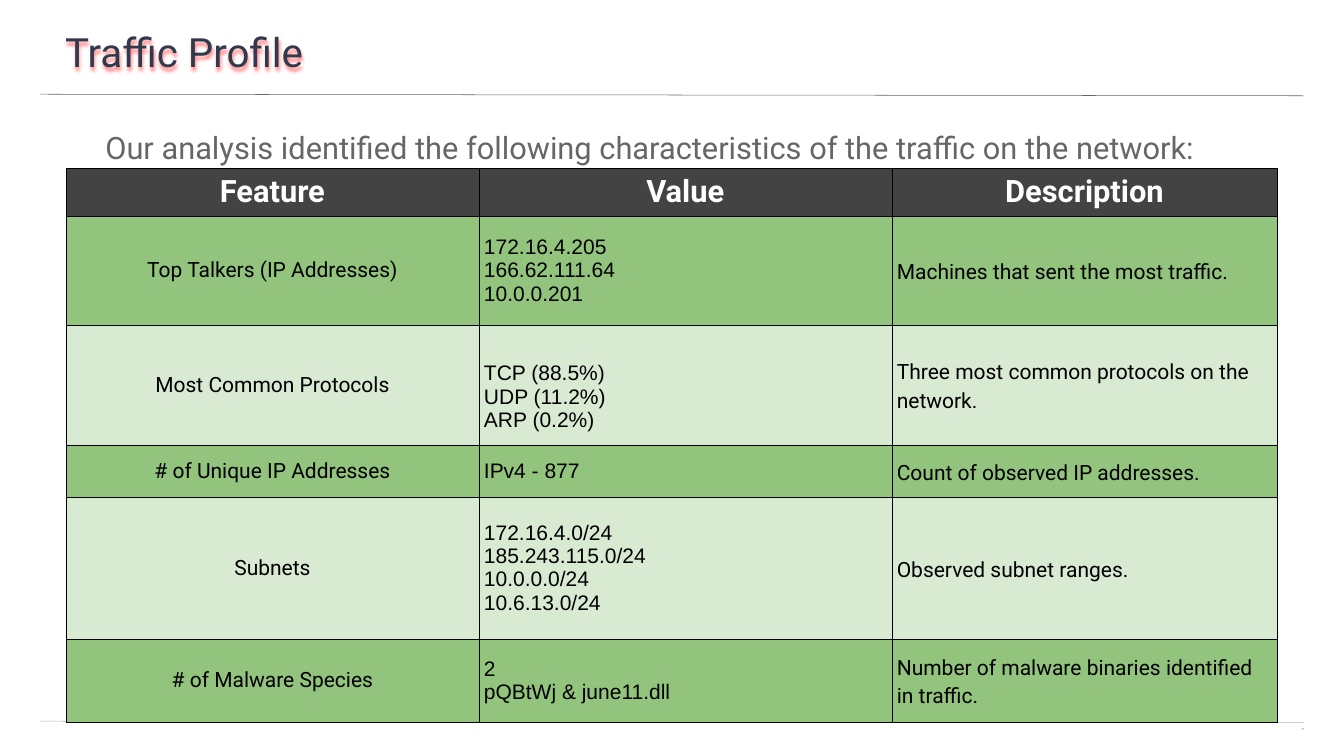
from lxml import etree
from pptx import Presentation
from pptx import util as u
from pptx.dml.color import RGBColor
from pptx.enum import shapes, text
from pptx.oxml import ns, parse_xml

BLACK = RGBColor(0x00, 0x00, 0x00)
WHITE = RGBColor(0xFF, 0xFF, 0xFF)
RED = RGBColor(0xFF, 0x00, 0x00)
NAVY = RGBColor(0x31, 0x39, 0x4D)
GRAY = RGBColor(0x66, 0x66, 0x66)
PALE_BLUE = RGBColor(0xA9, 0xB7, 0xC0)
CHARCOAL = RGBColor(0x43, 0x43, 0x43)
GREEN = RGBColor(0x93, 0xC4, 0x7D)
LIGHT_GREEN = RGBColor(0xD9, 0xEA, 0xD3)

TITLE = "Traffic Profile"
INTRO = "Our analysis identified the following characteristics of the traffic on the network:"
PAGE_NUMBER = "7"
HEADERS = ["Feature", "Value", "Description"]
FEATURES = [
    ("Top Talkers (IP Addresses)", ["172.16.4.205", "166.62.111.64", "10.0.0.201"],
     "Machines that sent the most traffic."),
    ("Most Common Protocols", ["TCP (88.5%)", "UDP (11.2%)", "ARP (0.2%)"],
     "Three most common protocols on the network."),
    ("# of Unique IP Addresses", ["IPv4 - 877"], "Count of observed IP addresses."),
    ("Subnets", ["172.16.4.0/24", "185.243.115.0/24", "10.0.0.0/24", "10.6.13.0/24"],
     "Observed subnet ranges."),
    ("# of Malware Species", ["2", "pQBtWj & june11.dll"],
     "Number of malware binaries identified in traffic."),
]
COLUMN_WIDTHS = [8.19, 8.19, 7.65]
ROW_HEIGHTS = [0.95, 2.16, 2.38, 1.03, 2.82, 1.65]
VALUE_TOP_MARGINS = {"Most Common Protocols": 0.58}
RULES = [(1.87, GRAY), (14.31, PALE_BLUE)]

LEFT, CENTER, RIGHT = text.PP_ALIGN.LEFT, text.PP_ALIGN.CENTER, text.PP_ALIGN.RIGHT


def write(frame, lines, size=30, font="Roboto", color=BLACK, bold=False,
          align=LEFT, spacing=None, after=0, margins=(0.1, 0.1, 0.1, 0.1)):
    frame.word_wrap = True
    (frame.margin_left, frame.margin_top,
     frame.margin_right, frame.margin_bottom) = map(u.Inches, margins)
    for index, line in enumerate(lines):
        para = frame.paragraphs[0] if index == 0 else frame.add_paragraph()
        para.alignment = align
        para.space_after = u.Pt(after)
        if spacing:
            para.line_spacing = spacing
        span = para.add_run()
        span.text = line
        span.font.size = u.Pt(size)
        span.font.name = font
        span.font.bold = bold
        span.font.color.rgb = color


def add_text(page, place, line, **style):
    box = page.shapes.add_textbox(*map(u.Inches, place))
    box.text_frame.auto_size = text.MSO_AUTO_SIZE.NONE
    box.text_frame.vertical_anchor = text.MSO_ANCHOR.TOP
    write(box.text_frame, [line], **style)
    return box


def add_rule(page, top, color):
    rule = page.shapes.add_connector(
        shapes.MSO_CONNECTOR.STRAIGHT, u.Inches(0.8), u.Inches(top),
        u.Inches(25.86), u.Inches(top + 0.03))
    rule.line.color.rgb = color
    rule.line.width = u.Pt(0.75)
    etree.SubElement(rule._element.spPr, ns.qn("a:effectLst"))


def add_title_shadow(title):
    title._element.spPr.append(parse_xml(
        f'<a:effectLst {ns.nsdecls("a")}>'
        f'<a:outerShdw blurRad="{u.Pt(4)}" dist="{u.Pt(4)}" dir="5400000"'
        ' algn="bl" rotWithShape="0">'
        f'<a:srgbClr val="{RED}"><a:alpha val="50000"/></a:srgbClr>'
        '</a:outerShdw></a:effectLst>'))


def add_borders(cell):
    properties = cell._tc.get_or_add_tcPr()
    for index, side in enumerate(("lnL", "lnR", "lnT", "lnB")):
        properties.insert(index, parse_xml(
            f'<a:{side} {ns.nsdecls("a")} w="{u.Pt(0.75)}"><a:solidFill>'
            f'<a:srgbClr val="{BLACK}"/></a:solidFill></a:{side}>'))


def fill_cell(cell, lines, fill, top=0.1, **style):
    write(cell.text_frame, lines, **style)
    cell.margin_left = cell.margin_right = cell.margin_bottom = u.Inches(0.1)
    cell.margin_top = u.Inches(top)
    cell.vertical_anchor = text.MSO_ANCHOR.MIDDLE
    cell.fill.solid()
    cell.fill.fore_color.rgb = fill
    add_borders(cell)


def add_feature_table(page):
    table = page.shapes.add_table(
        len(ROW_HEIGHTS), len(COLUMN_WIDTHS), u.Inches(1.31), u.Inches(3.34),
        u.Inches(sum(COLUMN_WIDTHS)), u.Inches(sum(ROW_HEIGHTS))).table
    for column, width in zip(table.columns, COLUMN_WIDTHS):
        column.width = u.Inches(width)
    for row, height in zip(table.rows, ROW_HEIGHTS):
        row.height = u.Inches(height)
    for column, header in enumerate(HEADERS):
        fill_cell(table.cell(0, column), [header], CHARCOAL,
                  size=44, color=WHITE, bold=True, align=CENTER)
    for row, (feature, values, description) in enumerate(FEATURES, 1):
        fill = GREEN if row % 2 else LIGHT_GREEN
        fill_cell(table.cell(row, 0), [feature], fill, align=CENTER)
        fill_cell(table.cell(row, 1), values, fill, font="Arial",
                  top=VALUE_TOP_MARGINS.get(feature, 0.1))
        fill_cell(table.cell(row, 2), [description], fill, spacing=1.15, after=10)


def main():
    deck = Presentation()
    deck.slide_width, deck.slide_height = u.Inches(26.66), u.Inches(15)
    page = deck.slides.add_slide(deck.slide_layouts[6])
    for top, color in RULES:
        add_rule(page, top, color)
    title = add_text(page, (-0.04, 0, 26.73, 1.56), TITLE, size=57.6, color=NAVY,
                     margins=(1.33, 0.53, 0.8, 0.27))
    add_title_shadow(title)
    add_text(page, (25.1, 14.46, 0.76, 0.31), PAGE_NUMBER, size=4, align=RIGHT,
             spacing=0.8, margins=(0, 0, 0, 0.27))
    add_text(page, (0.76, 2.45, 25.09, 10.79), INTRO, size=44, color=GRAY,
             spacing=1.15, after=12, margins=(1.33, 0, 1.33, 2.67))
    add_feature_table(page)
    deck.save("out.pptx")


if __name__ == "__main__":
    main()
